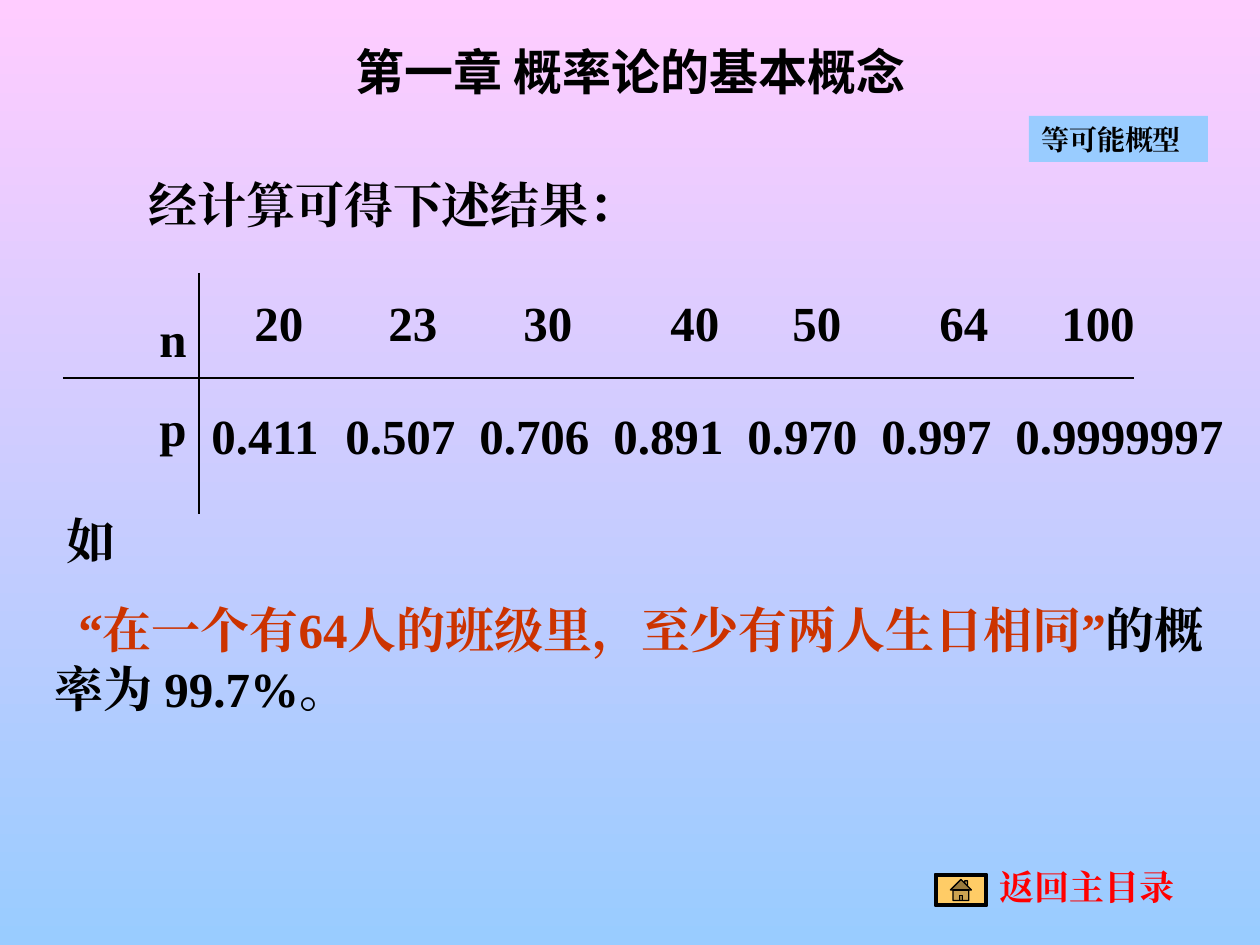
import pptx
import pptx.dml.color
import pptx.enum.shapes
import pptx.enum.text
import pptx.oxml
import pptx.oxml.ns
import pptx.util
from lxml import etree

PX = 914400 // 126
COLORS = {
    "black": "000000",
    "pink": "FFCCFF",
    "sky": "99CCFF",
    "rust": "CC3300",
    "red": "FF0000",
    "gold": "FFCC66",
}
SERIF = "Times New Roman"
SANS = "Noto Sans CJK SC"
SHAPES = pptx.enum.shapes.MSO_SHAPE


def rgb(name):
    return pptx.dml.color.RGBColor.from_string(COLORS[name])


def a_child(parent, tag, **attrs):
    return etree.SubElement(parent, pptx.oxml.ns.qn("a:" + tag), attrs)


class Deck:
    def __init__(self, width, height):
        self.prs = pptx.Presentation()
        self.prs.slide_width = width * PX
        self.prs.slide_height = height * PX
        self.slide = None

    def add_slide(self, top, bottom):
        self.slide = self.prs.slides.add_slide(self.prs.slide_layouts[5])
        fill = self.slide.background.fill
        fill.gradient()
        fill.gradient_angle = 270
        for stop, name in zip(fill.gradient_stops, (top, bottom)):
            stop.color.rgb = rgb(name)

    def format_run(self, r, size, color, font=SERIF):
        r.font.size = pptx.util.Pt(size)
        r.font.bold = True
        r.font.name = font
        r.font.color.rgb = rgb(color)
        a_child(r._r.get_or_add_rPr(), "ea", typeface=font)

    def title(self, text, x, y, w, h):
        sp = self.slide.shapes.title
        sp.left, sp.top, sp.width, sp.height = (v * PX for v in (x, y, w, h))
        tf = sp.text_frame
        tf.text = text
        tf.auto_size = pptx.enum.text.MSO_AUTO_SIZE.NONE
        tf.vertical_anchor = pptx.enum.text.MSO_ANCHOR.MIDDLE
        p = tf.paragraphs[0]
        p.alignment = pptx.enum.text.PP_ALIGN.CENTER
        self.format_run(p.runs[0], 28, "black", SANS)

    def text(self, paragraphs, x, y, w, h, size=28, indents=(), tabs=()):
        """Each paragraph is a list of (text, colour) runs."""
        sp = self.slide.shapes.add_textbox(x * PX, y * PX, w * PX, h * PX)
        tf = sp.text_frame
        tf.word_wrap = True
        for i, runs in enumerate(paragraphs):
            p = tf.paragraphs[0] if i == 0 else tf.add_paragraph()
            pPr = p._p.get_or_add_pPr()
            if i:
                p.space_before = pptx.util.Pt(17.5)
            if indents:
                pPr.set("indent", str(indents[i] * PX))
            if tabs:
                stops = a_child(pPr, "tabLst")
                for pos in tabs:
                    a_child(stops, "tab", pos=str(pos * PX), algn="l")
            for words, color in runs:
                r = p.add_run()
                r.text = words
                self.format_run(r, size, color)

    def shape(self, kind, x, y, w, h, fill, line=None):
        sp = self.slide.shapes.add_shape(kind, x * PX, y * PX, w * PX, h * PX)
        sp.shadow.inherit = False
        sp.fill.solid()
        sp.fill.fore_color.rgb = rgb(fill)
        if line:
            sp.line.color.rgb = rgb(line)
            sp.line.width = pptx.util.Pt(0.75)
        else:
            sp.line.fill.background()
        return sp

    def line(self, x1, y1, x2, y2):
        cn = self.slide.shapes.add_connector(
            pptx.enum.shapes.MSO_CONNECTOR.STRAIGHT,
            x1 * PX, y1 * PX, x2 * PX, y2 * PX)
        cn.line.color.rgb = rgb("black")
        cn.line.width = pptx.util.Pt(1)
        a_child(cn._element.spPr, "effectLst")

    def home_button(self, x, y, w, h, edge):
        frame = self.shape(SHAPES.BEVEL, x, y, w, h, "gold", "black")
        frame.adjustments[0] = edge / h
        self.shape(SHAPES.ACTION_BUTTON_HOME, x + edge, y + edge,
                   w - 2 * edge, h - 2 * edge, "gold", "black")


def main():
    deck = Deck(1260, 945)
    deck.add_slide("pink", "sky")
    deck.title("第一章 概率论的基本概念", 95, 55, 1071, 32)

    deck.shape(SHAPES.RECTANGLE, 1029, 116, 179, 46, "sky")
    deck.text([[("等可能概型", "black")]], 1029, 116, 179, 46, size=16)
    deck.text([[("经计算可得下述结果：", "black")]], 136, 168, 523, 72)

    sizes = ["20", "23", "30", "40", "50", "64", "100"]
    chances = ["0.411", "0.507", "0.706", "0.891", "0.970", "0.997", "0.9999997"]
    deck.line(63, 378, 1134, 378)
    deck.line(199, 273, 199, 514)
    deck.text([[("n", "black")], [("p", "black")]], 147, 302, 63, 161)
    deck.text([[("\t".join(sizes), "black")]], 242, 286, 987, 72,
              tabs=(134, 269, 416, 538, 685, 807))
    deck.text([[("\t".join(chances), "black")]], 199, 399, 1061, 72,
              tabs=[134 * i for i in range(1, len(chances))])

    deck.text(
        [[("如", "black")],
         [("“在一个有64人的班级里，至少有两人生日相同”", "rust"),
          ("的概率为 99.7%。", "black")]],
        42, 504, 1197, 221, indents=(12, 24))

    deck.home_button(935, 874, 52, 32, 2)
    deck.text([[("返回主目录", "red")]], 987, 859, 221, 55, size=20)
    deck.prs.save("out.pptx")


if __name__ == "__main__":
    main()
